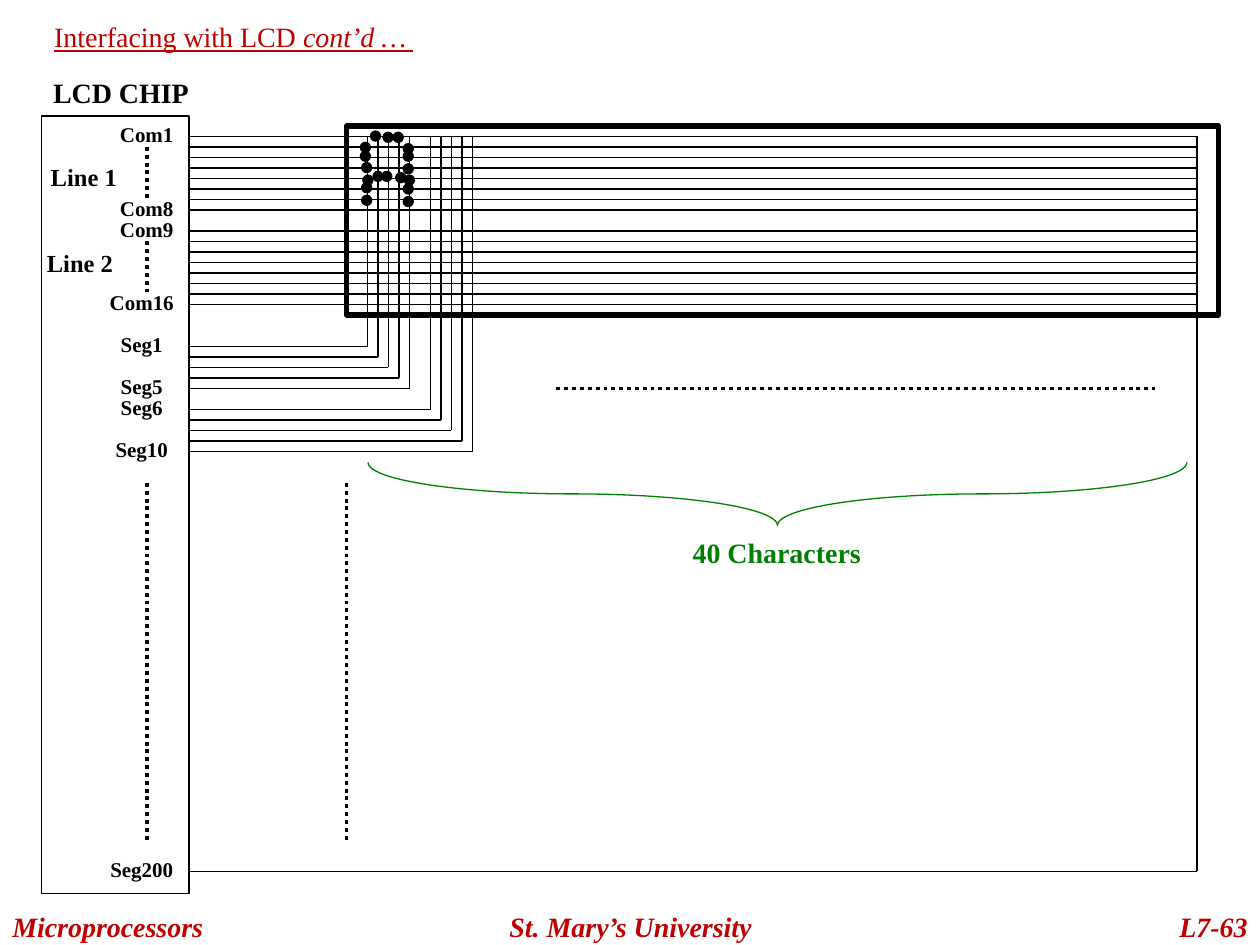
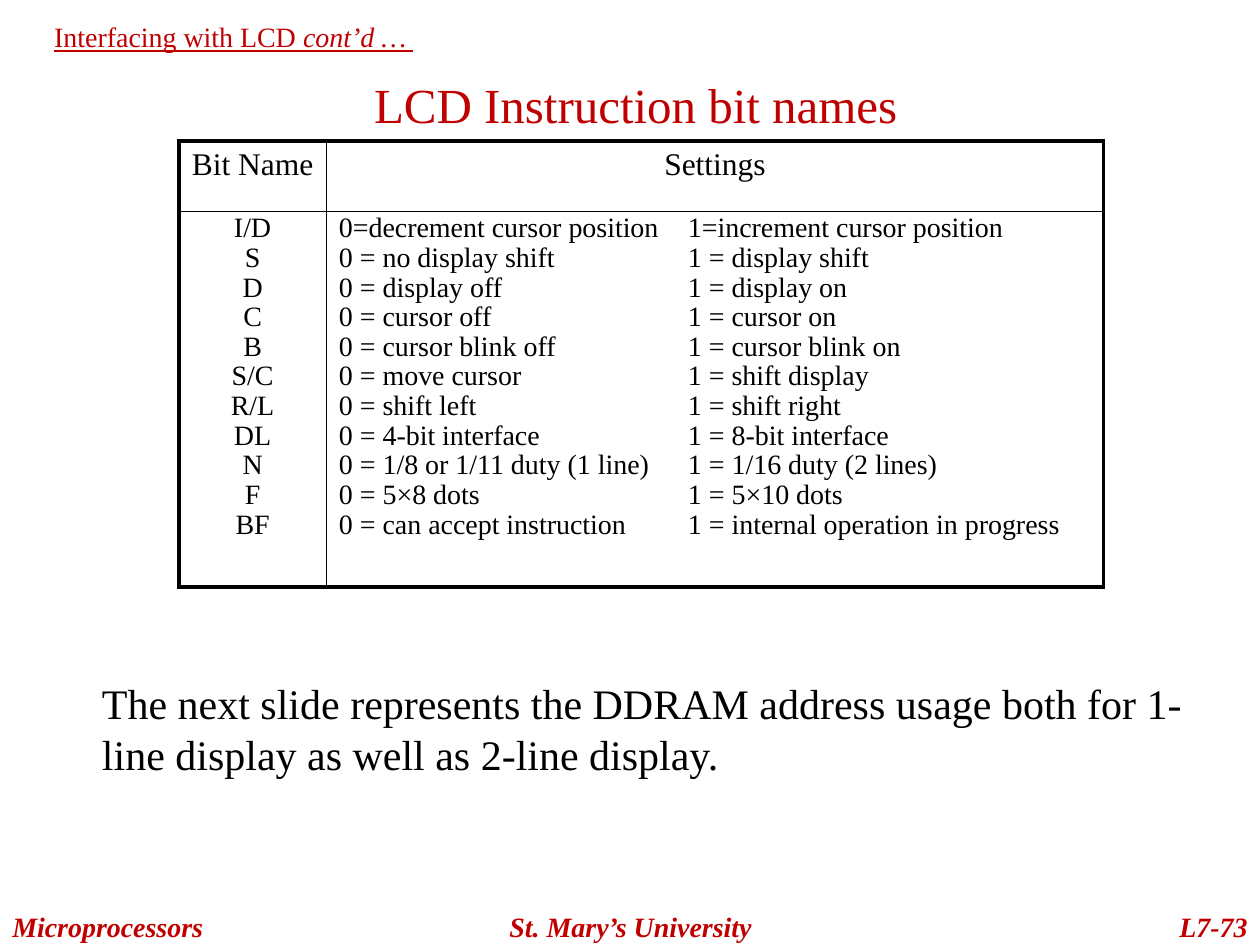
from typing import NamedTuple

from lxml import etree
from pptx import Presentation
from pptx.dml.color import RGBColor
from pptx.enum.dml import MSO_LINE
from pptx.enum.shapes import MSO_CONNECTOR, MSO_SHAPE
from pptx.enum.text import MSO_ANCHOR, MSO_AUTO_SIZE, PP_ALIGN
from pptx.oxml.ns import qn
from pptx.util import Inches, Pt

LEFT, CENTER, RIGHT = PP_ALIGN.LEFT, PP_ALIGN.CENTER, PP_ALIGN.RIGHT
MIDDLE = MSO_ANCHOR.MIDDLE
NO_AUTOFIT = MSO_AUTO_SIZE.NONE
STRAIGHT = MSO_CONNECTOR.STRAIGHT
RECTANGLE, OVAL, BRACE = MSO_SHAPE.RECTANGLE, MSO_SHAPE.OVAL, MSO_SHAPE.RIGHT_BRACE
SOLID, DOTTED = MSO_LINE.SOLID, MSO_LINE.ROUND_DOT
TITLE_ONLY = 5

FONT = "Times New Roman"
COLORS = {"ink": "000000", "paper": "FFFFFF", "accent": "C00000", "span": "008000"}

GRID = 12  # wiring grid steps per inch
CHIP_EDGE, GLASS_EDGE = 18, 114
COM_ROWS = [*range(13, 21), *range(22, 30)]
SEG_ROWS = [*range(33, 38), *range(39, 44)]
SEG_SHIFT = 2  # each segment's column lies this far beyond its row number
LAST_SEG_ROW = 83


class Box(NamedTuple):
    left: float
    top: float
    width: float
    height: float

    def emu(self) -> list[int]:
        return [Inches(length) for length in self]


class Style(NamedTuple):
    size: float
    color: str = "ink"
    bold: bool = False
    italic: bool = False
    align: PP_ALIGN = LEFT
    spacing: float = 1.0


class Label(NamedTuple):
    text: str
    box: Box
    style: Style


class Wire(NamedTuple):
    """A straight line between two points of the wiring grid."""
    x1: int
    y1: int
    x2: int
    y2: int


class Bit(NamedTuple):
    name: str
    zero: str
    one: str


PIN = Style(12, bold=True, align=CENTER)
DISPLAY_LINE = Style(14, bold=True, align=CENTER)
CAPTION = Style(16, bold=True, align=CENTER, spacing=0.8)
FOOTER = Style(16, "accent", bold=True, italic=True)

CHIP_LABELS = [
    Label("LCD CHIP", Box(0.25, 0.6, 1.42, 0.31), CAPTION),
    Label("40 Characters", Box(5.25, 4.25, 1.83, 0.31), CAPTION._replace(color="span")),
    Label("Line 1", Box(0.29, 1.24, 0.75, 0.34), DISPLAY_LINE),
    Label("Line 2", Box(0.26, 1.92, 0.75, 0.34), DISPLAY_LINE),
]
COM_PINS = [("Com1", 0.83, 13), ("Com8", 0.83, 20), ("Com9", 0.83, 22), ("Com16", 0.75, 29)]
SEG_PINS = [("Seg1", 0.75, 33), ("Seg5", 0.75, 37), ("Seg6", 0.75, 39),
            ("Seg10", 0.75, 43), ("Seg200", 0.75, LAST_SEG_ROW)]

OMISSIONS = [Wire(14, 14, 14, 19), Wire(14, 23, 14, 28), Wire(14, 46, 14, 80),
             Wire(33, 46, 33, 80), Wire(53, 37, 110, 37)]

LETTER_DOTS = [
    (2.87, 1.55), (2.87, 1.45), (2.88, 1.39), (2.87, 1.29), (2.86, 1.2), (2.86, 1.13),
    (2.94, 1.04), (3.04, 1.05), (3.12, 1.05), (2.96, 1.36), (3.03, 1.36), (3.14, 1.37),
    (3.2, 1.56), (3.2, 1.46), (3.21, 1.39), (3.2, 1.3), (3.2, 1.2), (3.2, 1.14),
]

BITS = [
    Bit("I/D", "0=decrement cursor position", "1=increment cursor position"),
    Bit("S", "0 = no display shift", "1 = display shift"),
    Bit("D", "0 = display off", "1 = display on"),
    Bit("C", "0 = cursor off", "1 = cursor on"),
    Bit("B", "0 = cursor blink off", "1 = cursor blink on"),
    Bit("S/C", "0 = move cursor", "1 = shift display"),
    Bit("R/L", "0 = shift left", "1 = shift right"),
    Bit("DL", "0 = 4-bit interface", "1 = 8-bit interface"),
    Bit("N", "0 = 1/8 or 1/11 duty (1 line)", "1 = 1/16 duty (2 lines)"),
    Bit("F", "0 = 5×8 dots", "1 = 5×10 dots"),
    Bit("BF", "0 = can accept instruction", "1 = internal operation in progress"),
]


def rgb(name: str) -> RGBColor:
    return RGBColor.from_string(COLORS[name])


def format_paragraph(paragraph, style: Style) -> None:
    paragraph.alignment = style.align
    paragraph.line_spacing = style.spacing
    font = paragraph.font
    font.name, font.size = FONT, Pt(style.size)
    font.bold, font.italic = style.bold, style.italic
    font.color.rgb = rgb(style.color)


def add_label(slide, label: Label):
    frame = slide.shapes.add_textbox(*label.box.emu()).text_frame
    frame.word_wrap = True
    frame.text = label.text
    format_paragraph(frame.paragraphs[0], label.style)
    return frame


def add_figure(slide, kind: MSO_SHAPE, box: Box, fill: str | None, line: str = "ink",
               weight: float = 0.75):
    figure = slide.shapes.add_shape(kind, *box.emu())
    figure.shadow.inherit = False
    if fill:
        figure.fill.solid()
        figure.fill.fore_color.rgb = rgb(fill)
    else:
        figure.fill.background()
    figure.line.color.rgb = rgb(line)
    figure.line.width = Pt(weight)
    return figure


def add_wire(slide, wire: Wire, weight: float = 0.75, dash: MSO_LINE = SOLID) -> None:
    ends = [Inches(step / GRID) for step in wire]
    connector = slide.shapes.add_connector(STRAIGHT, *ends)
    connector.line.color.rgb = rgb("ink")
    connector.line.width = Pt(weight)
    connector.line.dash_style = dash
    etree.SubElement(connector._element.spPr, qn("a:effectLst"))


def start_slide(deck, page: str):
    """Add a slide with the running title and the three footers."""
    slide = deck.slides.add_slide(deck.slide_layouts[TITLE_ONLY])
    title = slide.shapes.title
    title.left, title.top, title.width, title.height = Box(0.33, 0.08, 8.5, 0.42).emu()
    frame = title.text_frame
    frame.auto_size = NO_AUTOFIT
    frame.vertical_anchor = MIDDLE
    heading = frame.paragraphs[0]
    for text, italic in [("Interfacing with LCD ", False), ("cont’d …", True), (" ", False)]:
        run = heading.add_run()
        run.text = text
        run.font.italic = italic
    format_paragraph(heading, Style(16, "accent"))
    heading.font.underline = True

    for text, left, width, align in [("Microprocessors", 0, 2, LEFT),
                                     ("St. Mary’s University", 3.42, 3.17, CENTER),
                                     (page, 8.42, 1.58, RIGHT)]:
        add_label(slide, Label(text, Box(left, 7.17, width, 0.33), FOOTER._replace(align=align)))
    return slide


def build_wiring_slide(deck) -> None:
    slide = start_slide(deck, "L7-63")
    add_figure(slide, RECTANGLE, Box(0.33, 0.92, 1.17, 6.17), "paper")
    add_figure(slide, RECTANGLE, Box(2.75, 1, 6.92, 1.5), "paper", weight=3)

    for row in COM_ROWS:
        add_wire(slide, Wire(CHIP_EDGE, row, GLASS_EDGE, row))
    segments = [(row + SEG_SHIFT, row) for row in SEG_ROWS] + [(GLASS_EDGE, LAST_SEG_ROW)]
    for column, row in segments:
        add_wire(slide, Wire(column, COM_ROWS[0], column, row))
        add_wire(slide, Wire(column, row, CHIP_EDGE, row))
    for omission in OMISSIONS:
        add_wire(slide, omission, 2.25, DOTTED)

    for x, y in LETTER_DOTS:
        add_figure(slide, OVAL, Box(x, y, 0.08, 0.08), "ink")

    # Upright brace turned a quarter, so it spans 6.5 in across
    span = add_figure(slide, BRACE, Box(5.92, 0.67, 0.5, 6.5), None, "span")
    span.rotation = 90
    span.adjustments[0] = 3.25

    for name, left, row in COM_PINS + SEG_PINS:
        pin_box = Box(left, (row - 2) / GRID, CHIP_EDGE / GRID - left, 0.3)
        add_label(slide, Label(name, pin_box, PIN))
    for label in CHIP_LABELS:
        add_label(slide, label)


def set_borders(cell, weights: dict[str, float]) -> None:
    """Put the side lines ahead of the cell's fill, as the schema orders them."""
    properties = cell._tc.get_or_add_tcPr()
    for position, side in enumerate("LRTB"):
        line = etree.Element(qn(f"a:ln{side}"), w=str(Pt(weights[side])))
        fill = etree.SubElement(line, qn("a:solidFill"))
        etree.SubElement(fill, qn("a:srgbClr"), val=COLORS["ink"])
        properties.insert(position, line)


def fill_cell(cell, lines: list[str], style: Style, tab: float | None = None) -> None:
    cell.fill.background()
    cell.text_frame.text = "\n".join(lines)
    for index, paragraph in enumerate(cell.text_frame.paragraphs):
        if tab:
            stops = etree.SubElement(paragraph._p.get_or_add_pPr(), qn("a:tabLst"))
            etree.SubElement(stops, qn("a:tab"), pos=str(Inches(tab)), algn="l")
        format_paragraph(paragraph, style)
        if index:
            paragraph.space_before = Pt(2.7)


def build_bits_slide(deck) -> None:
    slide = start_slide(deck, "L7-73")
    add_label(slide, Label("LCD Instruction bit names", Box(1.67, 0.54, 6.75, 0.57),
                           Style(28, "accent", align=CENTER)))

    table = slide.shapes.add_table(2, 2, *Box(1.42, 1.12, 7.33, 3.54).emu()).table
    table.first_row = table.horz_banding = False
    for column, width in zip(table.columns, (1.17, 6.17)):
        column.width = Inches(width)
    for row, height in zip(table.rows, (0.56, 2.98)):
        row.height = Inches(height)

    header = Style(18, align=CENTER)
    body = Style(16, spacing=0.8)
    fill_cell(table.cell(0, 0), ["Bit Name"], header)
    fill_cell(table.cell(0, 1), ["Settings"], header)
    fill_cell(table.cell(1, 0), [bit.name for bit in BITS], body._replace(align=CENTER))
    fill_cell(table.cell(1, 1), [f"{bit.zero}\t{bit.one}" for bit in BITS], body, tab=2.77)
    outer, inner = 2.25, 1
    for row in range(2):
        for column in range(2):
            set_borders(table.cell(row, column), {
                "L": inner if column else outer, "R": outer if column else inner,
                "T": inner if row else outer, "B": outer if row else inner})

    preview = add_label(slide, Label(
        "The next slide represents the DDRAM address usage both for 1-line display "
        "as well as 2-line display.", Box(0.33, 5.33, 9.5, 1), Style(24)))
    preview.margin_left = Inches(0.48)


def main() -> None:
    deck = Presentation()
    deck.slide_width, deck.slide_height = Inches(10), Inches(7.5)
    build_wiring_slide(deck)
    build_bits_slide(deck)
    deck.save("out.pptx")


if __name__ == "__main__":
    main()
